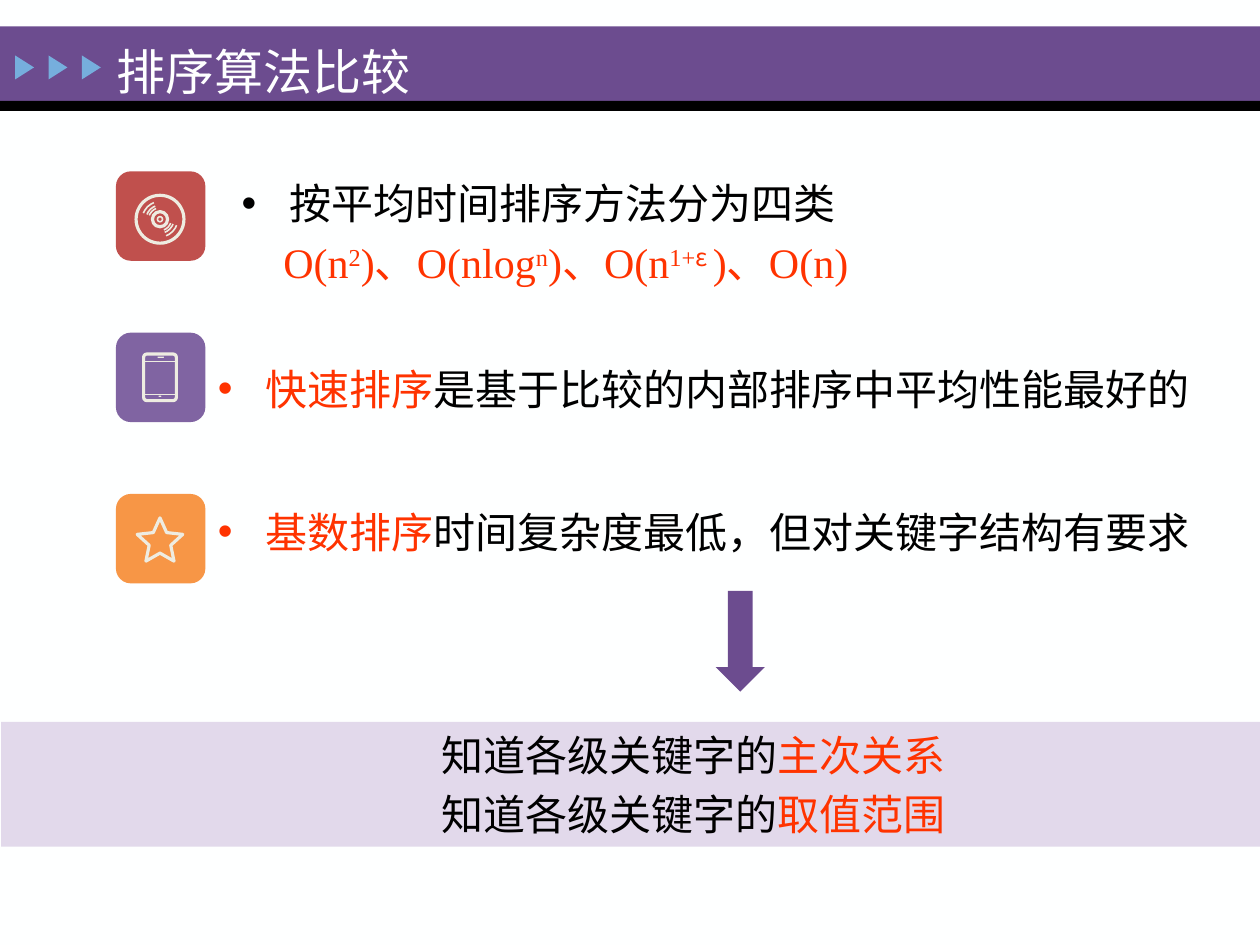
from dataclasses import dataclass
from math import cos, pi, sin

from lxml import etree
from pptx import Presentation
from pptx.dml.color import RGBColor as Rgb
from pptx.enum.shapes import MSO_CONNECTOR as Connector, MSO_SHAPE as Preset
from pptx.enum.text import MSO_ANCHOR as Anchor, PP_ALIGN as Align
from pptx.oxml.ns import qn
from pptx.util import Inches, Pt


@dataclass(frozen=True)
class Theme:
    paper: Rgb = Rgb.from_string("FEFFFF")
    purple: Rgb = Rgb.from_string("6C4C8F")
    lilac: Rgb = Rgb.from_string("E2D9EB")
    sky: Rgb = Rgb.from_string("76AEDD")
    black: Rgb = Rgb.from_string("000000")
    accent: Rgb = Rgb.from_string("FF3300")
    icon: Rgb = Rgb.from_string("EEECE1")
    disc_tile: Rgb = Rgb.from_string("C0504D")
    phone_tile: Rgb = Rgb.from_string("8064A2")
    star_tile: Rgb = Rgb.from_string("F79646")
    font: str = "Times New Roman"
    symbol_font: str = "Noto Sans CJK SC"
    title_size: Pt = Pt(28)
    body_size: Pt = Pt(24)
    thick: Pt = Pt(1.8)
    thin: Pt = Pt(0.9)


theme = Theme()
prs = Presentation()
prs.slide_width, prs.slide_height = Inches(10), Inches(7.5)
slide = prs.slides.add_slide(prs.slide_layouts[6])
slide.background.fill.solid()
slide.background.fill.fore_color.rgb = theme.paper
shapes = slide.shapes


def add_preset(preset, left, top, width, height, fill=None, stroke=None):
    """Add a preset shape, filled with a colour or outlined in the icon colour."""
    shape = shapes.add_shape(
        preset, Inches(left), Inches(top), Inches(width), Inches(height))
    shape.shadow.inherit = False
    if fill is None:
        shape.fill.background()
    else:
        shape.fill.solid()
        shape.fill.fore_color.rgb = fill
    if stroke is None:
        shape.line.fill.background()
    else:
        shape.line.color.rgb = theme.icon
        shape.line.width = stroke
    return shape


def write_line(paragraph, parts, margin=0.0, bullet=False, space=0):
    """Write (text, colour, raised) parts as one paragraph."""
    props = paragraph._p.get_or_add_pPr()
    props.set("marL", str(Inches(margin)))
    props.set("indent", str(Inches(-margin if bullet else 0)))
    if bullet:
        etree.SubElement(props, qn("a:buFont")).set("typeface", "Arial")
        etree.SubElement(props, qn("a:buChar")).set("char", "•")
    paragraph.space_before = Pt(space)
    paragraph.font.size = theme.body_size
    paragraph.font.name = theme.font
    for text, color, raised in parts:
        run = paragraph.add_run()
        run.text = text
        run.font.color.rgb = color
        if raised:
            run._r.get_or_add_rPr().set("baseline", "30000")
        if "ε" in text:
            run.font.name = theme.symbol_font


# Header
add_preset(Preset.RECTANGLE, 0, 0.21, 10, 0.59, theme.purple)
add_preset(Preset.RECTANGLE, 0, 0.8, 10, 0.08, theme.black)
for index in range(3):
    marker = add_preset(
        Preset.ISOSCELES_TRIANGLE, 0.1 + 0.265 * index, 0.46, 0.19, 0.15, theme.sky)
    marker.rotation = 90

title = shapes.add_textbox(Inches(0.83), Inches(0.16), Inches(3.5), Inches(0.58))
title.text_frame.word_wrap = True
heading = title.text_frame.paragraphs[0]
heading.text = "排序算法比较"
heading.line_spacing = 1.25
heading.font.size = theme.title_size
heading.font.name = theme.font
heading.font.color.rgb = theme.paper

# Points
classes = shapes.add_textbox(Inches(1.82), Inches(1.29), Inches(8.19), Inches(1.11))
findings = shapes.add_textbox(Inches(1.63), Inches(3.02), Inches(8.19), Inches(1.26))
for body in (classes, findings):
    body.text_frame.word_wrap = True
    body.text_frame.vertical_anchor = Anchor.MIDDLE

write_line(classes.text_frame.paragraphs[0],
           [("按平均时间排序方法分为四类", theme.black, False)], 0.38, bullet=True)
orders = ["O(n", "2", ")、O(nlog", "n", ")、O(n", "1+", "ε ", ")、O(n)"]
exponents = {"2", "n", "1+", "ε "}
write_line(classes.text_frame.add_paragraph(),
           [(text, theme.accent, text in exponents) for text in orders],
           0.33, space=4.8)

write_line(findings.text_frame.paragraphs[0],
           [("快速排序", theme.accent, False),
            ("是基于比较的内部排序中平均性能最好的", theme.black, False)],
           0.38, bullet=True)
write_line(findings.text_frame.add_paragraph(),
           [("基数排序", theme.accent, False),
            ("时间复杂度最低，但对关键字结构有要求", theme.black, False)],
           0.38, bullet=True, space=53)

# Requirements on the keys
band = add_preset(Preset.RECTANGLE, 0.01, 5.73, 9.99, 0.99, theme.lilac)
band.text_frame.word_wrap = True
band.text_frame.vertical_anchor = Anchor.MIDDLE
for index, requirement in enumerate(["主次关系", "取值范围"]):
    line = band.text_frame.add_paragraph() if index else band.text_frame.paragraphs[0]
    write_line(line, [("知道各级关键字的", theme.black, False),
                      (requirement, theme.accent, False)],
               1, space=4.8 * index)
    line.alignment = Align.CENTER
add_preset(Preset.DOWN_ARROW, 5.68, 4.69, 0.39, 0.8, theme.purple)

# Icon tiles
tile_colors = [theme.disc_tile, theme.phone_tile, theme.star_tile]
for index, color in enumerate(tile_colors):
    add_preset(Preset.ROUNDED_RECTANGLE, 0.92, 1.36 + 1.28 * index, 0.71, 0.71, color)
center_x = 1.27

# Disc
disc_y = 1.74
for radius, stroke in [(0.19, theme.thick), (0.06, theme.thick), (0.02, theme.thin)]:
    add_preset(Preset.OVAL, center_x - radius, disc_y - radius,
               2 * radius, 2 * radius, stroke=stroke)
for radius in (0.09, 0.11, 0.14):
    for start in (20, 200):
        groove = add_preset(Preset.ARC, center_x - radius, disc_y - radius,
                            2 * radius, 2 * radius, stroke=theme.thin)
        # Angles are stored in 60000ths, adjustments in 100000ths
        groove.adjustments[0] = start * 0.6
        groove.adjustments[1] = (start + 50) * 0.6

# Phone
phone = add_preset(Preset.ROUNDED_RECTANGLE, 1.14, 2.81, 0.26, 0.37, stroke=theme.thick)
phone.adjustments[0] = 0.1
for edge_y in (2.87, 3.13):
    edge = shapes.add_connector(Connector.STRAIGHT, Inches(1.15), Inches(edge_y),
                                Inches(1.39), Inches(edge_y))
    edge.line.color.rgb = theme.icon
    edge.line.width = theme.thin
    etree.SubElement(edge._element.spPr, qn("a:effectLst"))
add_preset(Preset.ROUNDED_RECTANGLE, 1.25, 2.83, 0.05, 0.01, theme.icon)
add_preset(Preset.ROUNDED_RECTANGLE, 1.26, 3.14, 0.02, 0.01, theme.icon)

# Star
star_y = 4.3
tips = []
for index in range(10):
    radius = 0.09 if index % 2 else 0.19
    angle = index * pi / 5
    tips.append((Inches(center_x + radius * sin(angle)),
                 Inches(star_y - radius * cos(angle))))
outline = shapes.build_freeform(*tips[0])
outline.add_line_segments(tips[1:], close=True)
star = outline.convert_to_shape()
star.shadow.inherit = False
star.fill.background()
star.line.color.rgb = theme.icon
star.line.width = theme.thick

prs.save("out.pptx")
